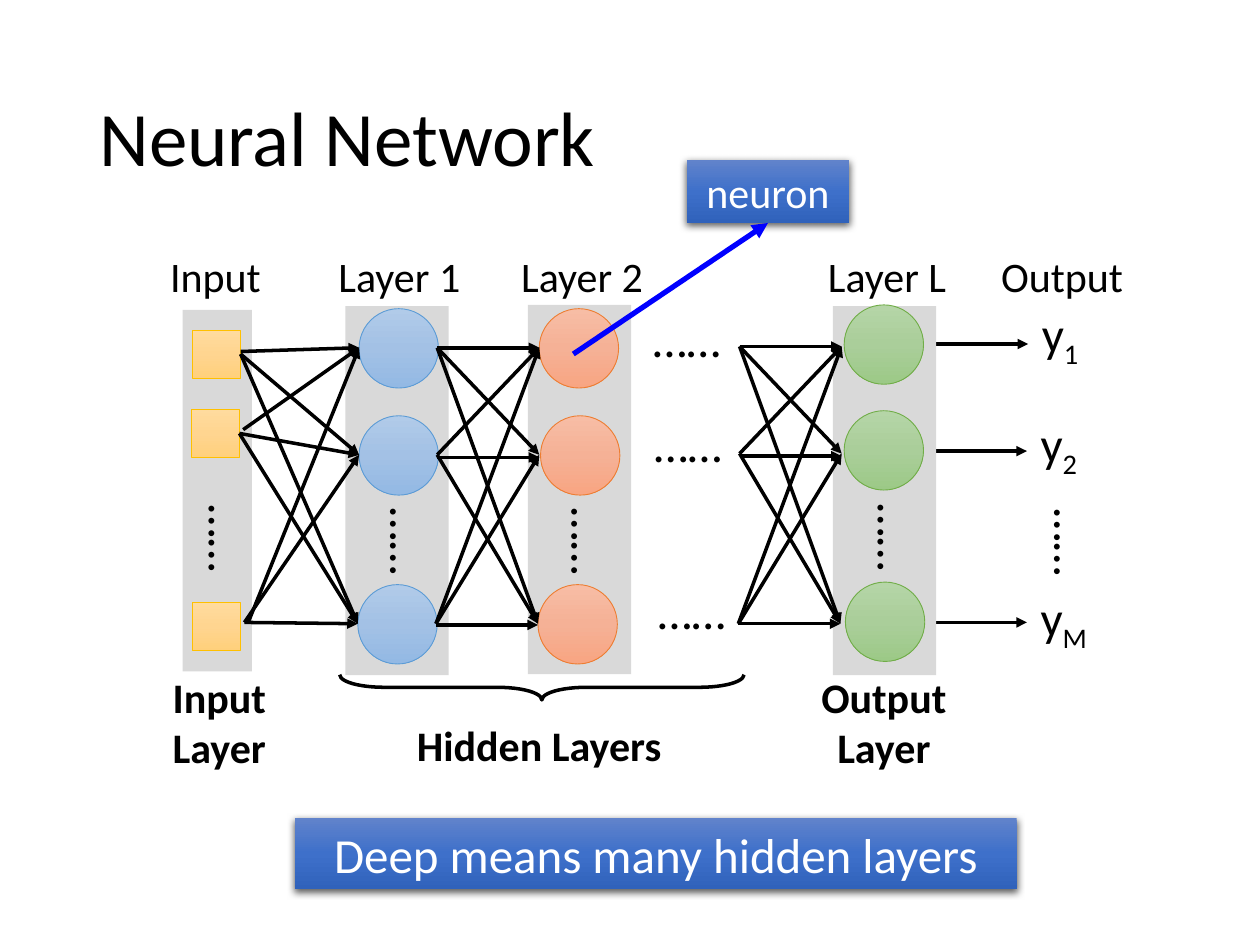
from copy import deepcopy
from pptx import Presentation
from pptx.dml.color import RGBColor
from pptx.enum import shapes as kinds, text as modes
from pptx.oxml import parse_xml
from pptx.oxml.ns import nsdecls, qn
from pptx.util import Inches, Pt

BLACK = RGBColor(0, 0, 0)
WHITE = RGBColor(255, 255, 255)
GREY = RGBColor(0xD9, 0xD9, 0xD9)
BLUE = RGBColor(0, 0, 255)
GOLD = RGBColor(0xFF, 0xC0, 0)
SKY = RGBColor(0x5B, 0x9B, 0xD5)
RUST = RGBColor(0xED, 0x7D, 0x31)
LEAF = RGBColor(0x70, 0xAD, 0x47)


def shades(*codes):
    return [RGBColor.from_string(code) for code in codes]


SANDS = shades("FFDB9E", "FFD590", "FFD07C")
SKIES = shades("B1CBE9", "A3C1E5", "93B9E4")
RUSTS = shades("F7BDA5", "F5B196", "F8A582")
LEAVES = shades("B5D5A7", "AACE9A", "9CC987")
NAVIES = shades("6183CB", "3E70CA", "3062BB")
SIZE = 0.63
SIDE = 0.38
DOTS = "……"


def write(shape, words, size, color=BLACK, bold=False, align="CENTER", sub=None):
    frame = shape.text_frame
    frame.word_wrap = True
    frame.auto_size = modes.MSO_AUTO_SIZE.SHAPE_TO_FIT_TEXT
    frame.text = words
    para = frame.paragraphs[0]
    para.alignment = getattr(modes.PP_ALIGN, align)
    if sub:
        low = para.add_run()
        low.text = sub
        low.font._element.set("baseline", "-25000")
    for run in para.runs:
        run.font.name = "Calibri"
        run.font.size = Pt(size)
        run.font.bold = bold
        run.font.color.rgb = color


def label(slide, box, words, size=24, turn=0, **style):
    shape = slide.shapes.add_textbox(*map(Inches, box))
    write(shape, words, size, **style)
    shape.rotation = turn
    return shape


def dots(slide, left, top, turn=90):
    label(slide, (left, top, 0.84, 0.57), DOTS, 28, turn)


def block(slide, kind, box, fill, edge=None):
    shape = slide.shapes.add_shape(kind, *map(Inches, box))
    shape.shadow.inherit = False
    if isinstance(fill, list):
        shape.fill.gradient()
        shape.fill.gradient_angle = 270
        stops = shape._element.spPr.find(".//" + qn("a:gsLst"))
        stops.insert(1, deepcopy(stops[0]))
        for stop, place, color in zip(shape.fill.gradient_stops, (0, 0.5, 1), fill):
            stop.position = place
            stop.color.rgb = color
    else:
        shape.fill.solid()
        shape.fill.fore_color.rgb = fill
    if edge is None:
        shape.line.fill.background()
    else:
        shape.line.color.rgb = edge
        shape.line.width = Pt(0.5)
    return shape


def panel(slide, box):
    return block(slide, kinds.MSO_SHAPE.RECTANGLE, box, GREY)


def arrow(slide, start, end, color=BLACK, width=2, source=None, target=None):
    line = slide.shapes.add_connector(
        kinds.MSO_CONNECTOR.STRAIGHT, *map(Inches, (*start, *end)))
    if source is not None:
        line.begin_connect(source, 3)
    if target is not None:
        line.end_connect(target, 2)
    line.line.color.rgb = color
    line.line.width = Pt(width)
    line.line._get_or_add_ln().append(
        parse_xml(f'<a:tailEnd {nsdecls("a")} type="triangle"/>'))
    line._element.spPr.append(parse_xml(f'<a:effectLst {nsdecls("a")}/>'))


def banner(slide, box, words, size):
    shape = block(slide, kinds.MSO_SHAPE.RECTANGLE, box, NAVIES)
    glow = shape._element.spPr.find(qn("a:effectLst"))
    glow.append(parse_xml(
        f'<a:outerShdw {nsdecls("a")} blurRad="57150" dist="19050" dir="5400000"'
        ' algn="ctr" rotWithShape="0"><a:srgbClr val="000000">'
        '<a:alpha val="63000"/></a:srgbClr></a:outerShdw>'))
    write(shape, words, size, WHITE)
    return shape


def inputs(slide, box):
    left, top, _, height = box
    panel(slide, box)
    label(slide, (left - 0.22, top + height - 0.05, 1.02, 0.91), "Input Layer", bold=True)
    label(slide, (left - 0.36, top - 0.52, 1.24, 0.5), "Input")
    dots(slide, left - 0.06, top + 1.53)
    return [block(slide, kinds.MSO_SHAPE.RECTANGLE,
                  (left + dx, top + dy, SIDE, SIDE), SANDS, GOLD)
            for dx, dy in ((0.08, 0.16), (0.07, 0.79), (0.08, 2.32))]


def layer(slide, box, name, spots, gap, fill, edge):
    left, top = box[:2]
    panel(slide, box)
    label(slide, (left - 0.19, 1.94, 1.24, 0.5), name)
    for dx, dy in spots:
        block(slide, kinds.MSO_SHAPE.OVAL,
              (left + dx, top + dy, SIZE, SIZE), fill, edge)
    dots(slide, left + gap[0], top + gap[1])


def outputs(slide, left, top):
    label(slide, (left - 0.35, top - 0.42, 1.24, 0.5), "Output")
    for sub, dx, dy in (("1", 0.01, 0), ("2", 0, 0.87), ("M", 0, 2.25)):
        label(slide, (left + dx, top + dy, 0.69, 0.57), "y", 28, align="LEFT", sub=sub)
    dots(slide, left - 0.06, top + 1.66)


def mesh(slide, left, right, rows, shifts):
    for i, start in enumerate(rows):
        for j, end in enumerate(rows):
            shift = shifts[i] if i == j else 0
            back = 0.01 if i == 2 else 0
            near = 0.01 if j == 2 else 0
            arrow(slide, (left - back, start + shift), (right - near, end + shift))


def fan(slide, squares):
    ends = ((2.85, 2.76), (2.85, 3.61), (2.84, 4.95))
    firsts = ((1.91, 2.79), (1.93, 3.41), (1.97, 4.94))
    for square, first in zip(squares, firsts):
        last = square is squares[-1]
        for end in ends:
            if end == ends[0]:
                arrow(slide, first, end)
            else:
                arrow(slide, (1.94, 4.94), end, source=None if last else square)


def hidden(slide, left, top):
    brace = slide.shapes.add_shape(
        kinds.MSO_SHAPE.RIGHT_BRACE, *map(Inches, (left + 1.5, top - 1.5, 0.2, 3.21)))
    brace.rotation = 90
    brace.adjustments[0] = 1.76
    brace.adjustments[1] = 0.5
    brace.shadow.inherit = False
    brace.fill.background()
    brace.line.color.rgb = BLACK
    brace.line.width = Pt(2)
    label(slide, (left + 0.45, top + 0.31, 2.26, 0.5), "Hidden Layers", bold=True)


def main():
    deck = Presentation()
    deck.slide_width, deck.slide_height = Inches(10), Inches(7.5)
    slide = deck.slides.add_slide(deck.slide_layouts[6])
    title = label(slide, (0.69, 0.4, 8.62, 1.45), "Neural Network", 44, align="LEFT")
    title.text_frame.auto_size = modes.MSO_AUTO_SIZE.NONE
    title.text_frame.vertical_anchor = modes.MSO_ANCHOR.MIDDLE
    title.text_frame.paragraphs[0].line_spacing = 0.9
    label(slide, (6.38, 5.28, 1.27, 0.91), "Output Layer", bold=True)
    hidden(slide, 2.7, 5.35)
    for start, end, row in ((7.01, 8.16, 2.73), (7.04, 8.15, 3.58), (7.16, 8.15, 4.94)):
        arrow(slide, (start, row), (end, row))
    squares = inputs(slide, (1.45, 2.46, 0.55, 2.87))
    layer(slide, (2.74, 2.43, 0.82, 2.93), "Layer 1",
          ((0.11, 0.02), (0.11, 0.87), (0.1, 2.21)), (0.09, 1.58), SKIES, SKY)
    layer(slide, (4.19, 2.42, 0.82, 2.93), "Layer 2",
          ((0.09, 0.03), (0.1, 0.88), (0.08, 2.22)), (0.08, 1.59), RUSTS, RUST)
    layer(slide, (6.61, 2.43, 0.82, 2.93), "Layer L",
          ((0.09, -0.01), (0.09, 0.83), (0.1, 2.19)), (0.09, 1.55), LEAVES, LEAF)
    for left, top in ((5.03, 2.4), (5.04, 3.23), (5.07, 4.56)):
        dots(slide, left, top, 0)
    fan(slide, squares)
    mesh(slide, 3.47, 4.28, (2.76, 3.61, 4.95), (0, 0.02, 0.01))
    mesh(slide, 5.87, 6.68, (2.75, 3.6, 4.95), (0, 0.02, 0))
    outputs(slide, 8.16, 2.36)
    banner(slide, (2.34, 6.49, 5.73, 0.57), "Deep means many hidden layers", 28)
    neuron = banner(slide, (5.45, 1.27, 1.29, 0.5), "neuron", 24)
    arrow(slide, (4.55, 2.81), (6.1, 1.78), BLUE, 3, target=neuron)
    deck.save("out.pptx")


if __name__ == "__main__":
    main()
